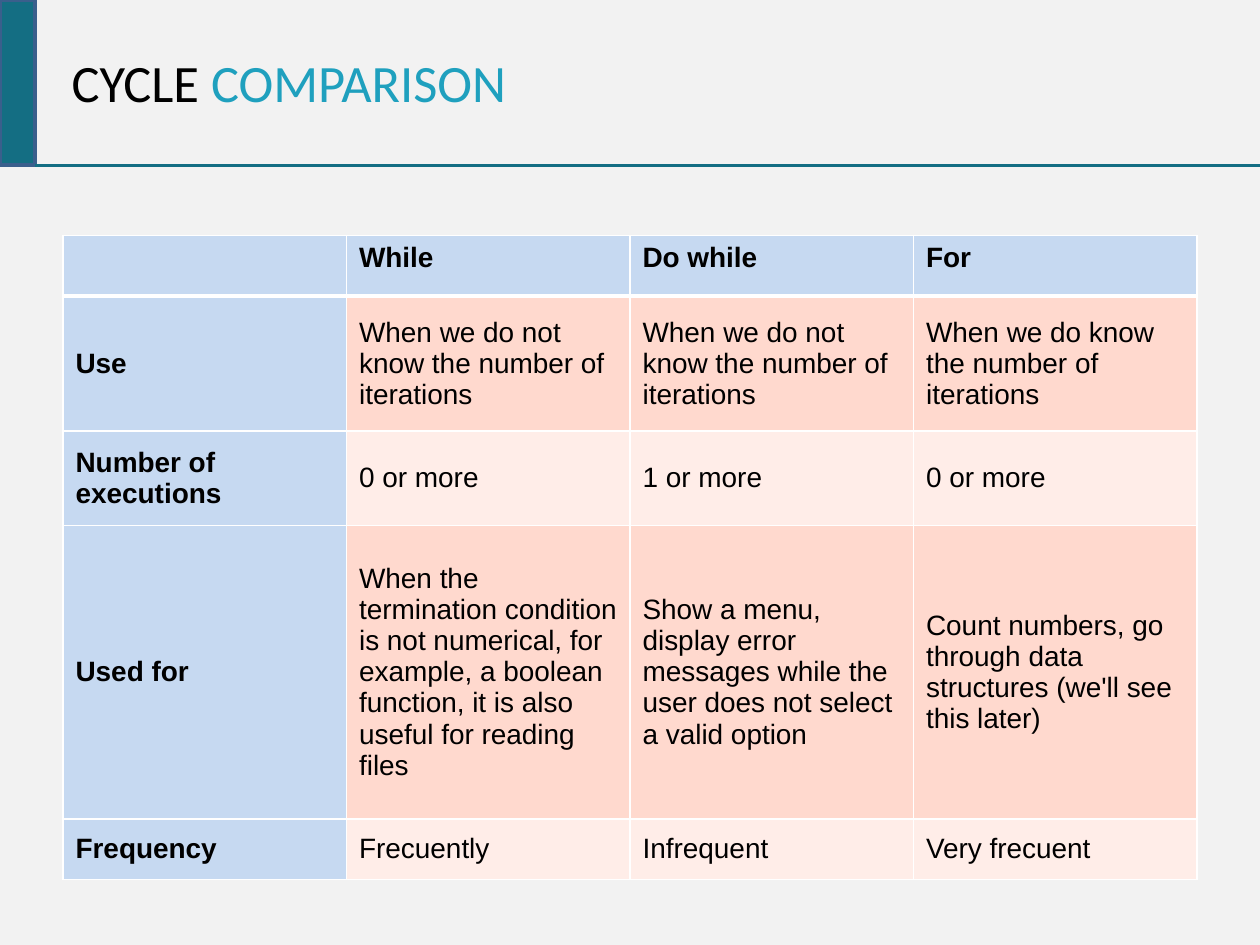
from dataclasses import dataclass

import pptx
import pptx.dml.color
import pptx.enum.shapes
import pptx.enum.text
import pptx.oxml
import pptx.oxml.ns
import pptx.util
from pptx.dml.color import RGBColor
from pptx.util import Inches

BACKGROUND = RGBColor(0xF2, 0xF2, 0xF2)
BLACK = RGBColor(0x00, 0x00, 0x00)
WHITE = RGBColor(0xFF, 0xFF, 0xFF)
TEAL = RGBColor(0x14, 0x6E, 0x83)
BRIGHT_TEAL = RGBColor(0x1F, 0xA0, 0xBE)
ACCENT_EDGE = RGBColor(0x3A, 0x5F, 0x8C)
HEADING_BLUE = RGBColor(0xC6, 0xD9, 0xF1)
BAND_COLORS = (RGBColor(0xFF, 0xD9, 0xCE), RGBColor(0xFF, 0xED, 0xE8))

ANCHOR = pptx.enum.text.MSO_ANCHOR
HEADER_RULE = 3
CELL_RULE = 1


@dataclass
class ComparisonRow:
    height: float
    heading: str
    entries: tuple[str, str, str]


ROWS = [
    ComparisonRow(0.48, "", ("While", "Do while", "For")),
    ComparisonRow(1.07, "Use", (
        "When we do not know the number of iterations",
        "When we do not know the number of iterations",
        "When we do know the number of iterations")),
    ComparisonRow(0.75, "Number of executions",
                  ("0 or more", "1 or more", "0 or more")),
    ComparisonRow(2.33, "Used for", (
        "When the termination condition is not numerical, for example, "
        "a boolean function, it is also useful for reading files",
        "Show a menu, display error messages while the user does not "
        "select a valid option",
        "Count numbers, go through data structures (we'll see this later)")),
    ComparisonRow(0.48, "Frequency",
                  ("Frecuently", "Infrequent", "Very frecuent")),
]
COLUMN_WIDTH = 2.25


def add_span(para, text: str, *, font: str, size: float, color: RGBColor,
             bold: bool = False) -> None:
    span = para.add_run()
    span.text = text
    span.font.name = font
    span.font.size = pptx.util.Pt(size)
    span.font.color.rgb = color
    span.font.bold = bold


def set_border(cell, side: str, width: float, color: RGBColor) -> None:
    """Append one cell border; call before setting the cell's fill."""
    properties = cell._tc.get_or_add_tcPr()
    properties.append(pptx.oxml.parse_xml(
        f'<a:{side} {pptx.oxml.ns.nsdecls("a")} w="{pptx.util.Pt(width)}">'
        f'<a:solidFill><a:srgbClr val="{color}"/></a:solidFill></a:{side}>'))


def add_title(page) -> None:
    box = page.shapes.add_textbox(Inches(0.47), Inches(0), Inches(8.15), Inches(1.3))
    frame = box.text_frame
    frame.word_wrap = True
    frame.vertical_anchor = ANCHOR.MIDDLE
    for text, color in (("CYCLE ", BLACK), ("COMPARISON", BRIGHT_TEAL)):
        add_span(frame.paragraphs[0], text, font="Calibri", size=30, color=color)


def add_header_accent(page) -> None:
    bar = page.shapes.add_shape(pptx.enum.shapes.MSO_SHAPE.RECTANGLE,
                                Inches(0), Inches(0), Inches(0.28), Inches(1.31))
    bar.shadow.inherit = False
    bar.fill.solid()
    bar.fill.fore_color.rgb = TEAL
    bar.line.color.rgb = ACCENT_EDGE
    bar.line.width = pptx.util.Pt(2)

    rule = page.shapes.add_connector(pptx.enum.shapes.MSO_CONNECTOR.STRAIGHT,
                                     Inches(0.28), Inches(1.31), Inches(10), Inches(1.31))
    rule.line.color.rgb = TEAL
    rule.line.width = pptx.util.Pt(1.75)
    rule._element.spPr.append(pptx.oxml.parse_xml(
        f'<a:effectLst {pptx.oxml.ns.nsdecls("a")}/>'))


def fill_cell(cell, text: str, row: int, column: int) -> None:
    is_heading = row == 0 or column == 0
    rules = {"lnL": CELL_RULE, "lnR": CELL_RULE,
             "lnT": HEADER_RULE if row == 1 else CELL_RULE,
             "lnB": HEADER_RULE if row == 0 else CELL_RULE}
    for side, width in rules.items():
        set_border(cell, side, width, WHITE)
    cell.fill.solid()
    cell.fill.fore_color.rgb = HEADING_BLUE if is_heading else BAND_COLORS[(row - 1) % 2]
    cell.vertical_anchor = ANCHOR.TOP if row == 0 else ANCHOR.MIDDLE
    if text:
        add_span(cell.text_frame.paragraphs[0], text, font="Arial", size=16,
                 color=BLACK, bold=is_heading)


def add_comparison_table(page, rows: list[ComparisonRow]) -> None:
    column_count = 1 + len(rows[0].entries)
    table = page.shapes.add_table(
        len(rows), column_count, Inches(0.5), Inches(1.87),
        Inches(COLUMN_WIDTH * column_count),
        Inches(sum(row.height for row in rows))).table
    for column in table.columns:
        column.width = Inches(COLUMN_WIDTH)
    for row_index, row in enumerate(rows):
        table.rows[row_index].height = Inches(row.height)
        for column_index, text in enumerate((row.heading, *row.entries)):
            fill_cell(table.cell(row_index, column_index), text, row_index, column_index)


def main() -> None:
    deck = pptx.Presentation()
    deck.slide_width, deck.slide_height = Inches(10), Inches(7.5)
    page = deck.slides.add_slide(deck.slide_layouts[6])
    page.background.fill.solid()
    page.background.fill.fore_color.rgb = BACKGROUND

    # Header
    add_title(page)
    add_header_accent(page)

    # Comparison of the three loops
    add_comparison_table(page, ROWS)

    deck.save("out.pptx")


if __name__ == "__main__":
    main()
